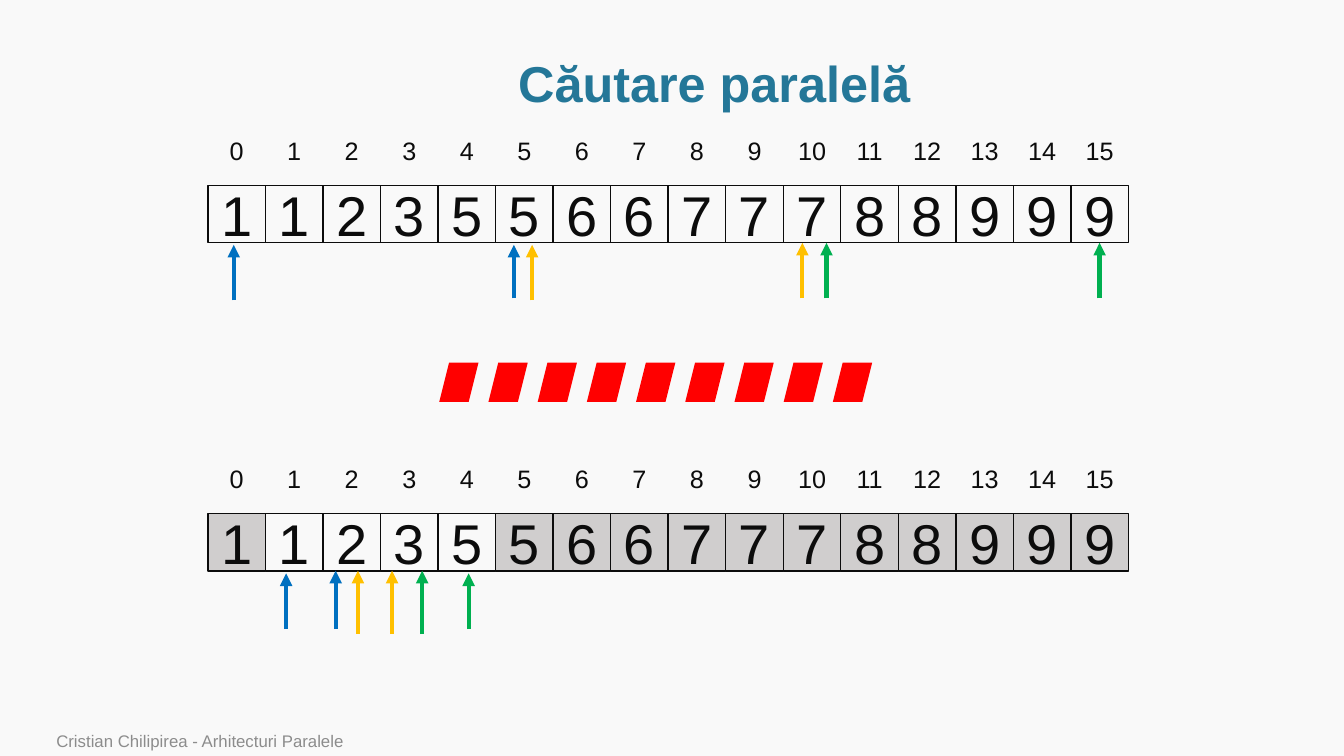
from dataclasses import dataclass

import pptx
import pptx.dml.color
import pptx.enum.shapes
import pptx.enum.text
import pptx.oxml.ns
import pptx.presentation
import pptx.shapes.base
import pptx.slide
import pptx.text.text
import pptx.util
from lxml import etree
from pptx.dml.color import RGBColor
from pptx.util import Cm

BACKGROUND = RGBColor(0xF9, 0xF9, 0xF9)
TITLE_BLUE = RGBColor(0x24, 0x77, 0x98)
INK = RGBColor(0x0C, 0x0C, 0x0C)
EXCLUDED_GREY = RGBColor(0xD0, 0xCE, 0xCE)
FOOTER_GREY = RGBColor(0x8C, 0x8C, 0x8C)
RED = RGBColor(0xFF, 0x00, 0x00)
BLUE = RGBColor(0x00, 0x70, 0xC0)
YELLOW = RGBColor(0xFF, 0xC0, 0x00)
GREEN = RGBColor(0x00, 0xB0, 0x50)

FONT = "Arial"
VALUES = (1, 1, 2, 3, 5, 5, 6, 6, 7, 7, 7, 8, 8, 9, 9, 9)
ARRAY_LEFT = 5.24
CELL = 1.45
INDEX_RISE = 1.39
INDEX_HEIGHT = 1.02

DASH_COUNT = 9
DASH_LEFT = 11.07
DASH_TOP = 9.14
DASH_SIZE = 0.99
DASH_PITCH = 1.24


@dataclass(frozen=True)
class Marker:
    """Upward arrow bounding one thread's search interval, in centimetres."""
    x: float
    bottom: float
    top: float
    color: RGBColor


@dataclass(frozen=True)
class SearchStep:
    top: float
    active: range
    markers: tuple[Marker, ...]


STEPS = (
    SearchStep(4.67, range(0, 16), (
        Marker(5.89, 7.57, 6.17, BLUE),
        Marker(12.95, 7.52, 6.17, BLUE),
        Marker(13.41, 7.57, 6.17, YELLOW),
        Marker(20.22, 7.52, 6.12, YELLOW),
        Marker(20.83, 7.52, 6.12, GREEN),
        Marker(27.71, 7.52, 6.12, GREEN),
    )),
    SearchStep(12.94, range(1, 5), (
        Marker(7.21, 15.85, 14.45, BLUE),
        Marker(8.46, 15.85, 14.38, BLUE),
        Marker(9.02, 15.98, 14.38, YELLOW),
        Marker(9.88, 15.98, 14.38, YELLOW),
        Marker(10.64, 15.98, 14.38, GREEN),
        Marker(11.81, 15.85, 14.45, GREEN),
    )),
)


def write(text_frame: pptx.text.text.TextFrame, text: str, size: int, color: RGBColor,
          alignment: pptx.enum.text.PP_ALIGN, anchor: pptx.enum.text.MSO_ANCHOR) -> None:
    text_frame.text = text
    text_frame.vertical_anchor = anchor
    paragraph = text_frame.paragraphs[0]
    paragraph.alignment = alignment
    font = paragraph.runs[0].font
    font.name = FONT
    font.size = pptx.util.Pt(size)
    font.color.rgb = color


def add_title(slide: pptx.slide.Slide) -> None:
    title = slide.shapes.title
    title.left, title.top, title.width, title.height = Cm(2.9), Cm(1.3), Cm(30.2), Cm(1.75)
    write(title.text_frame, "Căutare paralelă", 36, TITLE_BLUE,
          pptx.enum.text.PP_ALIGN.CENTER, pptx.enum.text.MSO_ANCHOR.MIDDLE)
    paragraph = title.text_frame.paragraphs[0]
    paragraph.line_spacing = 0.9
    paragraph.runs[0].font.bold = True


def add_cell(slide: pptx.slide.Slide, left: float, top: float, value: int, active: bool) -> None:
    cell = slide.shapes.add_shape(pptx.enum.shapes.MSO_SHAPE.RECTANGLE,
                                  Cm(left), Cm(top), Cm(CELL), Cm(CELL))
    cell.shadow.inherit = False
    if active:
        cell.fill.background()
    else:
        cell.fill.solid()
        cell.fill.fore_color.rgb = EXCLUDED_GREY
    cell.line.color.rgb = INK
    cell.line.width = pptx.util.Pt(1)
    write(cell.text_frame, str(value), 40, INK,
          pptx.enum.text.PP_ALIGN.CENTER, pptx.enum.text.MSO_ANCHOR.MIDDLE)


def add_index(slide: pptx.slide.Slide, center: float, top: float, index: int) -> None:
    width = 0.87 if index < 10 else 1.22
    label = slide.shapes.add_textbox(Cm(center - width / 2), Cm(top), Cm(width), Cm(INDEX_HEIGHT))
    label.text_frame.word_wrap = False
    label.text_frame.auto_size = pptx.enum.text.MSO_AUTO_SIZE.SHAPE_TO_FIT_TEXT
    write(label.text_frame, str(index), 18, INK,
          pptx.enum.text.PP_ALIGN.CENTER, pptx.enum.text.MSO_ANCHOR.TOP)


def add_marker(slide: pptx.slide.Slide, marker: Marker) -> None:
    arrow = slide.shapes.add_connector(pptx.enum.shapes.MSO_CONNECTOR.STRAIGHT,
                                       Cm(marker.x), Cm(marker.bottom), Cm(marker.x), Cm(marker.top))
    arrow.line.color.rgb = marker.color
    arrow.line.width = pptx.util.Pt(3)
    properties = arrow.element.spPr
    line = properties.find(pptx.oxml.ns.qn("a:ln"))
    etree.SubElement(line, pptx.oxml.ns.qn("a:tailEnd"), type="triangle")
    etree.SubElement(properties, pptx.oxml.ns.qn("a:effectLst"))


def add_step(slide: pptx.slide.Slide, step: SearchStep) -> None:
    for index, value in enumerate(VALUES):
        left = ARRAY_LEFT + index * CELL
        add_cell(slide, left, step.top, value, index in step.active)
        add_index(slide, left + CELL / 2, step.top - INDEX_RISE, index)
    for marker in step.markers:
        add_marker(slide, marker)


def add_divider(slide: pptx.slide.Slide) -> None:
    for position in range(DASH_COUNT):
        dash = slide.shapes.add_shape(pptx.enum.shapes.MSO_SHAPE.PARALLELOGRAM,
                                      Cm(DASH_LEFT + position * DASH_PITCH), Cm(DASH_TOP),
                                      Cm(DASH_SIZE), Cm(DASH_SIZE))
        dash.shadow.inherit = False
        dash.fill.solid()
        dash.fill.fore_color.rgb = RED
        dash.line.fill.background()


def add_footer(slide: pptx.slide.Slide) -> None:
    footer = slide.shapes.add_textbox(Cm(1.17), Cm(18.34), Cm(24.94), Cm(0.71))
    footer.text_frame.word_wrap = True
    write(footer.text_frame, "Cristian Chilipirea - Arhitecturi Paralele", 12, FOOTER_GREY,
          pptx.enum.text.PP_ALIGN.LEFT, pptx.enum.text.MSO_ANCHOR.BOTTOM)


def main() -> None:
    presentation = pptx.Presentation()
    presentation.slide_width = Cm(33.87)
    presentation.slide_height = Cm(19.05)
    slide = presentation.slides.add_slide(presentation.slide_layouts.get_by_name("Title Only"))
    slide.background.fill.solid()
    slide.background.fill.fore_color.rgb = BACKGROUND
    add_title(slide)
    for step in STEPS:
        add_step(slide, step)
    add_divider(slide)
    add_footer(slide)
    presentation.save("out.pptx")


if __name__ == "__main__":
    main()
